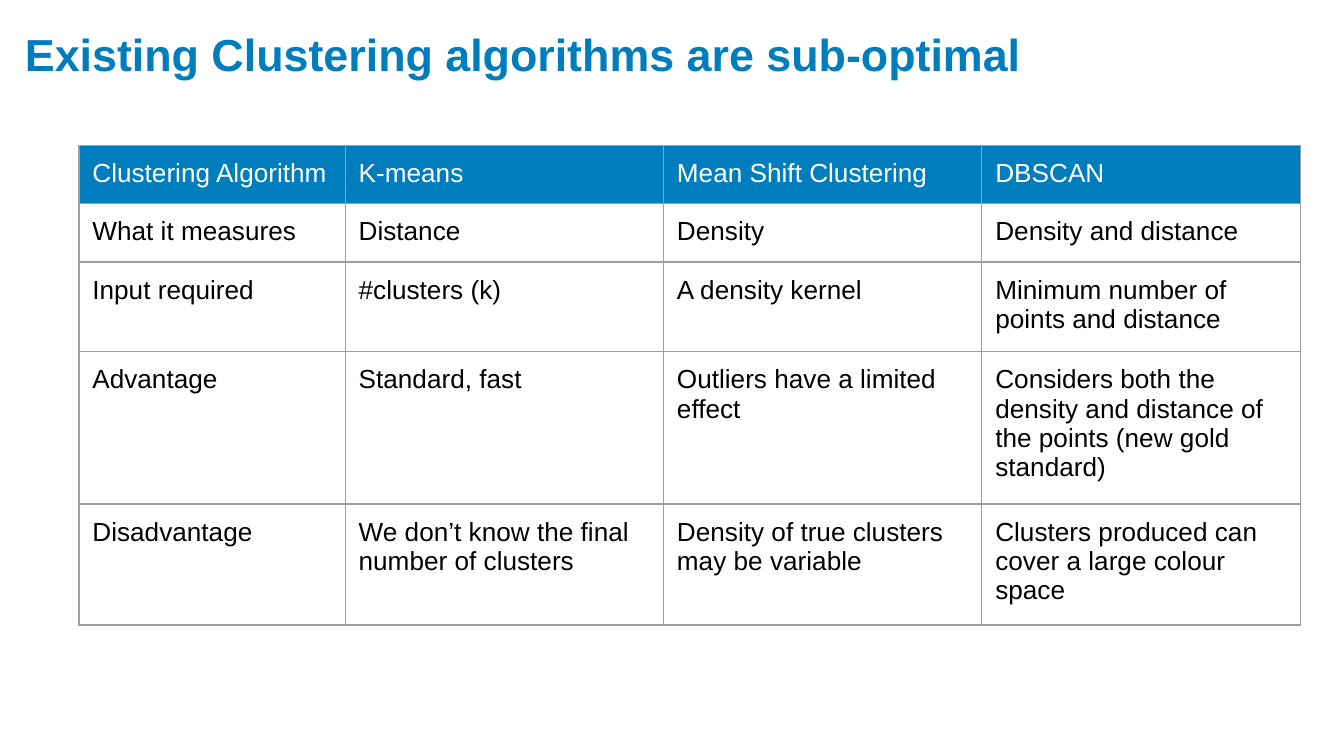
from dataclasses import dataclass

from lxml import etree
from pptx import Presentation
from pptx import util as u
from pptx.dml.color import RGBColor
from pptx.enum import text
from pptx.oxml import ns

PX = 5715  # EMU per px, 160 px to the inch


@dataclass(frozen=True)
class Theme:
    font: str = "Arial"
    accent: str = "007DBC"
    header_text: str = "FFFFFF"
    body_text: str = "000000"
    border: str = "9E9E9E"
    border_width: float = 0.75
    title_size: int = 24
    table_size: int = 14
    inset: int = 16


THEME = Theme()

COLUMN_WIDTHS = [317, 379, 379, 379]
ROW_HEIGHT = 67
ROWS = [
    ["Clustering Algorithm", "K-means", "Mean Shift Clustering", "DBSCAN"],
    ["What it measures", "Distance", "Density", "Density and distance"],
    ["Input required", "#clusters (k)", "A density kernel",
     "Minimum number of points and distance"],
    ["Advantage", "Standard, fast", "Outliers have a limited effect",
     "Considers both the density and distance of the points (new gold standard)"],
    ["Disadvantage", "We don’t know the final number of clusters",
     "Density of true clusters may be variable",
     "Clusters produced can cover a large colour space"],
]


def px(length):
    return u.Emu(length * PX)


def set_insets(holder):
    """Give a text frame or a table cell the same margin on every side."""
    for side in ("left", "top", "right", "bottom"):
        setattr(holder, f"margin_{side}", px(THEME.inset))


def add_run(paragraph, words, size, color, bold=False):
    run = paragraph.add_run()
    run.text = words
    run.font.name = THEME.font
    run.font.size = u.Pt(size)
    run.font.bold = bold
    run.font.color.rgb = RGBColor.from_string(color)


def set_borders(cell):
    properties = cell._tc.get_or_add_tcPr()
    for tag in ("a:lnL", "a:lnR", "a:lnT", "a:lnB"):
        line = etree.SubElement(properties, ns.qn(tag),
                                w=str(u.Pt(THEME.border_width)))
        fill = etree.SubElement(line, ns.qn("a:solidFill"))
        etree.SubElement(fill, ns.qn("a:srgbClr"), val=THEME.border)


def add_title(slide, left, top, width, height):
    shape = slide.shapes.add_textbox(px(left), px(top), px(width), px(height))
    frame = shape.text_frame
    frame.word_wrap = True
    frame.vertical_anchor = text.MSO_ANCHOR.TOP
    set_insets(frame)
    add_run(frame.paragraphs[0], "Existing Clustering algorithms are sub-optimal",
            THEME.title_size, THEME.accent, bold=True)


def add_comparison_table(slide, left, top, width, height):
    """The columns and rows outgrow the frame, which keeps the given size."""
    shape = slide.shapes.add_table(
        len(ROWS), len(COLUMN_WIDTHS), px(left), px(top), px(width), px(height))
    table = shape.table
    table.first_row = table.horz_banding = False
    for column, column_width in zip(table.columns, COLUMN_WIDTHS):
        column.width = px(column_width)

    for row_index, labels in enumerate(ROWS):
        table.rows[row_index].height = px(ROW_HEIGHT)
        is_header = row_index == 0
        color = THEME.header_text if is_header else THEME.body_text
        for column_index, label in enumerate(labels):
            cell = table.cell(row_index, column_index)
            set_insets(cell)
            set_borders(cell)
            if is_header:
                cell.fill.solid()
                cell.fill.fore_color.rgb = RGBColor.from_string(THEME.accent)
            else:
                cell.fill.background()
            add_run(cell.text_frame.paragraphs[0], label, THEME.table_size, color)
    # Resizing rows and columns refits the frame, so its size is set last
    shape.width, shape.height = px(width), px(height)


def main():
    presentation = Presentation()
    presentation.slide_width = px(1600)
    presentation.slide_height = px(900)
    slide = presentation.slides.add_slide(presentation.slide_layouts[6])

    # Title
    add_title(slide, 14, 16, 1443, 86)
    # Comparison of the algorithms
    add_comparison_table(slide, 94, 173, 525, 525)

    presentation.save("out.pptx")


if __name__ == "__main__":
    main()
